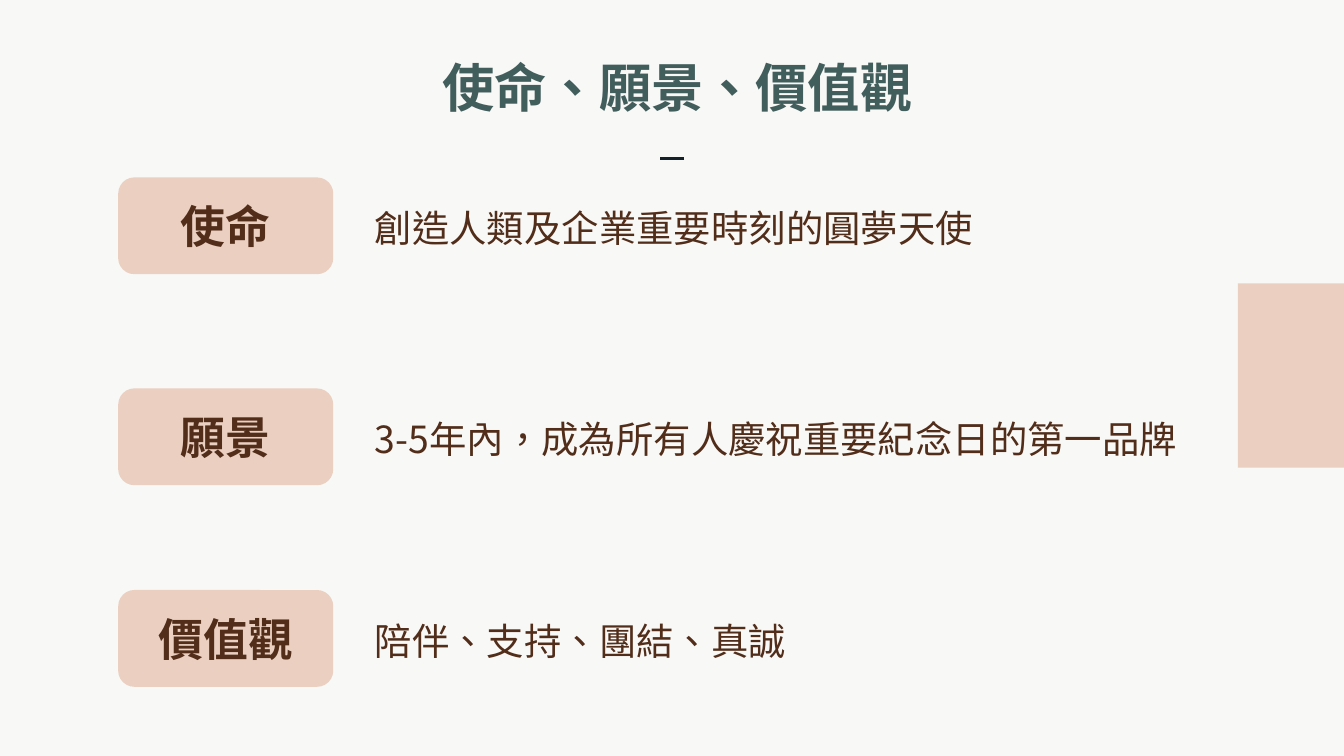
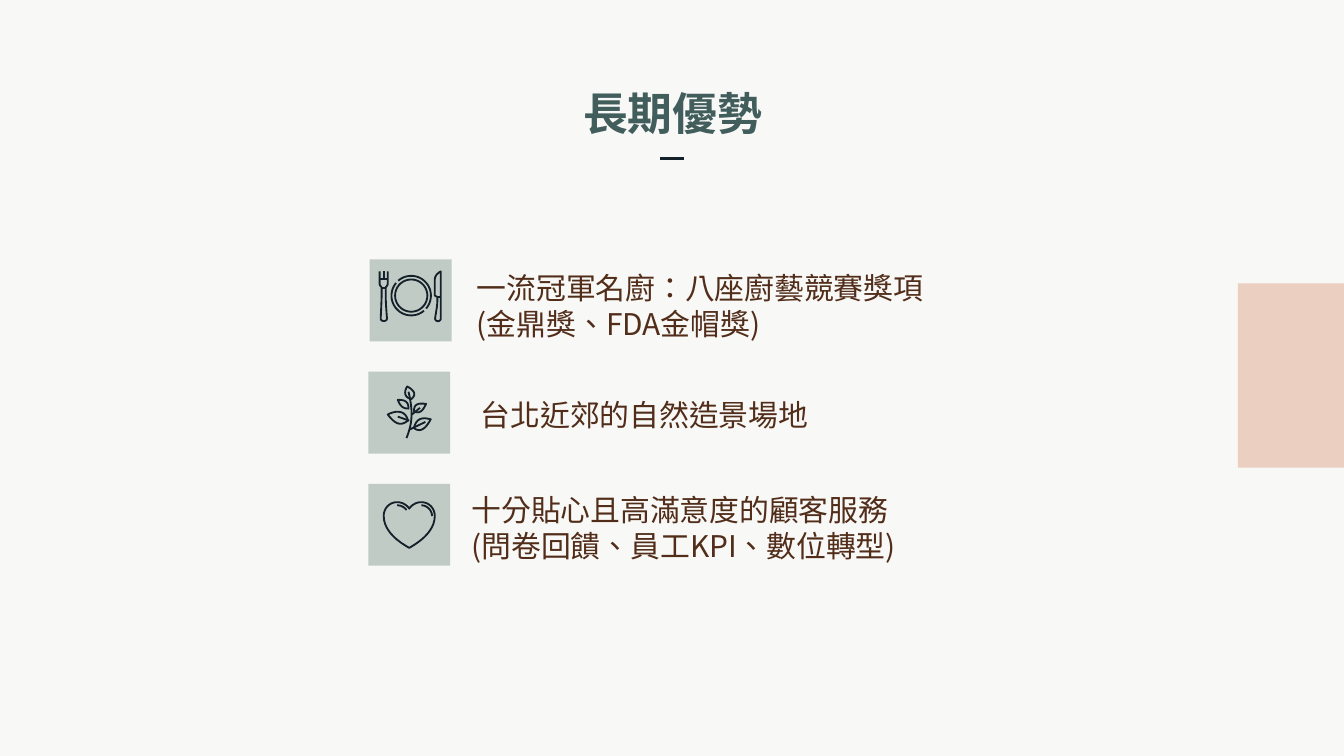
"""Build two slides: mission, vision and values, then long-term strengths."""
from math import cos, radians, sin

from lxml import etree
from pptx import Presentation
from pptx.dml.color import RGBColor
from pptx.enum.shapes import MSO_CONNECTOR, MSO_SHAPE
from pptx.enum.text import MSO_ANCHOR, PP_ALIGN
from pptx.oxml.ns import qn
from pptx.util import Inches, Pt

RECTANGLE = MSO_SHAPE.RECTANGLE
ROUNDED = MSO_SHAPE.ROUNDED_RECTANGLE
STRAIGHT = MSO_CONNECTOR.STRAIGHT
TOP, MIDDLE = MSO_ANCHOR.TOP, MSO_ANCHOR.MIDDLE
LEFT, CENTER = PP_ALIGN.LEFT, PP_ALIGN.CENTER

COLORS = {"paper": "F8F8F6", "blush": "EBD0C2", "ink": "15212A",
          "title": "415D5C", "text": "512D1A", "sage": "C1CBC6"}
SANS_SC, SANS_TC = "Noto Sans CJK SC", "Noto Sans CJK TC"
LANGUAGE = "zh-TW"

STATEMENTS = [
    (1.32, "使命", "創造人類及企業重要時刻的圓夢天使", 4.69),
    (2.89, "願景", "3-5年內，成為所有人慶祝重要紀念日的第一品牌", 6.22),
    (4.39, "價值觀", "陪伴、支持、團結、真誠", 5),
]


def arc(center_x, center_y, radius, start, end, steps=36):
    """Return an outline of short lines along a circle, angles in degrees."""
    angles = [radians(start + (end - start) * step / steps) for step in range(steps + 1)]
    points = [(center_x + radius * cos(angle), center_y + radius * sin(angle))
              for angle in angles]
    return [points[0]] + [(point,) for point in points[1:]]


PLATE = [
    [(7.5, 9), ((7.5, 18),), ((7.5, 20), (9, 20), (9, 21.5)), ((9, 26),),
     ((9, 30), (8.5, 39), (8.3, 44)), ((8.3, 46.5), (13, 46.5), (13, 44)),
     ((12.5, 39), (12, 30), (12, 26)), ((12, 21.5),),
     ((12, 20), (13.5, 20), (13.5, 18)), ((13.5, 9),)],
    [(10.5, 9), ((10.5, 14.5),)],
    [(7.5, 14.5), ((13.5, 14.5),)],
    [(9, 21.5), ((12, 21.5),)],
    arc(31, 27, 14.7, 220, 50),
    arc(31, 27, 14.7, 229, 401),
    arc(31, 27, 12, 0, 360),
    [(53, 9), ((49.5, 11), (48.5, 13), (48.5, 16)), ((48.5, 27),), ((50.5, 28),),
     ((50.5, 31),), ((50.3, 36), (49.3, 40), (48.8, 44)),
     ((48.8, 46.7), (53, 46.7), (53, 44)), ((53, 9),)],
    [(50.5, 28), ((53, 28),)],
]
BRANCH = [
    [(28.5, 49.5), ((33, 38), (33.5, 30), (30, 15))],
    [(32, 20.5), ((26, 19), (27, 14), (29, 11)), ((36, 15), (35, 18), (32, 20.5))],
    [(22, 21), ((27, 21), (30, 22), (30, 27.5)), ((26, 27.5), (24, 26), (22, 21))],
    [(14.5, 32), ((21, 28.5), (28, 29), (29.5, 36.5)), ((24, 41), (20, 39), (14.5, 32))],
    [(34, 29.5), ((34, 23.5), (38, 23.5), (43, 24)), ((40, 31), (37, 31), (34, 29.5))],
    [(34, 42), ((36, 34), (41, 34), (46.5, 35.5)), ((42, 44), (38, 45), (34, 42))],
    [(22, 33.5), ((30.5, 36.5),)],
    [(32.5, 32), ((38.5, 27),)],
    [(31, 43), ((42.5, 37.5),)],
]
HEART = [
    [(30.5, 18.5), ((28.5, 15.5), (25, 13.7), (21.5, 13.7)),
     ((16, 13.7), (11.5, 18), (11.5, 24)), ((11.5, 36), (24, 44), (30.5, 47.7)),
     ((37, 44), (49.5, 36), (49.5, 24)), ((49.5, 18), (45, 13.7), (39.5, 13.7)),
     ((36, 13.7), (32.5, 15.5), (30.5, 18.5))],
    [(39.5, 16), ((44, 16), (47.5, 20), (47.5, 24))],
    [(21.5, 16), ((24.5, 16), (27, 17.5), (28.5, 19.5))],
]

STRENGTHS = [
    (2.75, PLATE, (3.28, 1.91, 4.67, 0.39), 0.17,
     [["一流冠軍名廚：八座廚藝競賽獎項"], ["(金鼎獎、FDA金帽獎)"]]),
    (2.74, BRANCH, (3.48, 2.85, 3.22, 0.49), 0, [["台北近郊的自然造景場地"]]),
    (2.74, HEART, (2.91, 3.56, 4.35, 0.81), 0.5,
     [["十分貼心且高滿意度的顧客服務", "(問卷回饋、員工KPI、數位轉型)"]]),
]


def color(name):
    """Return a named palette colour."""
    return RGBColor.from_string(COLORS[name])


def write(shape, paragraphs, size, font, tint="text", bold=False, align=LEFT,
          anchor=TOP, inset=None, indent=0):
    """Fill a shape with paragraphs, each a list of lines."""
    frame = shape.text_frame
    frame.word_wrap = True
    frame.vertical_anchor = anchor
    if inset is not None:
        frame.margin_left = frame.margin_right = Inches(inset)
        frame.margin_top = frame.margin_bottom = Inches(inset)
    for index, lines in enumerate(paragraphs):
        paragraph = frame.add_paragraph() if index else frame.paragraphs[0]
        paragraph.alignment = align
        if indent:
            paragraph._p.get_or_add_pPr().set("marL", str(Inches(indent)))
        for number, line in enumerate(lines):
            if number:
                paragraph.add_line_break()
            run = paragraph.add_run()
            run.text = line
            run.font.size = Pt(size)
            run.font.bold = bold
            run.font.name = font
            run.font.color.rgb = color(tint)
            properties = run._r.get_or_add_rPr()
            properties.set("lang", LANGUAGE)
            etree.SubElement(properties, qn("a:ea"), typeface=font)


def add_text(slide, box, paragraphs, size, font, **style):
    """Add a text box."""
    shape = slide.shapes.add_textbox(*map(Inches, box))
    write(shape, paragraphs, size, font, **style)


def add_block(slide, kind, box, tint):
    """Add a filled shape without outline."""
    shape = slide.shapes.add_shape(kind, *map(Inches, box))
    shape.shadow.inherit = False
    shape.fill.solid()
    shape.fill.fore_color.rgb = color(tint)
    shape.line.fill.background()
    return shape


def add_line(slide, start, end, width):
    """Add a straight ink line between two points."""
    line = slide.shapes.add_connector(STRAIGHT, *map(Inches, (*start, *end)))
    line.line.color.rgb = color("ink")
    line.line.width = Pt(width)
    etree.SubElement(line._element.spPr, qn("a:effectLst"))


def curve_points(start, first, second, end, steps=12):
    """Return points along a cubic curve, without its start."""
    points = []
    for step in range(1, steps + 1):
        t = step / steps
        weights = ((1 - t) ** 3, 3 * t * (1 - t) ** 2, 3 * t * t * (1 - t), t ** 3)
        points.append(tuple(sum(weight * value for weight, value in zip(weights, axis))
                            for axis in zip(start, first, second, end)))
    return points


def add_icon(slide, left, top, outlines):
    """Draw outlines given in hundredths of an inch from the corner of a tile."""
    for outline in outlines:
        points = [outline[0]]
        for segment in outline[1:]:
            points += curve_points(points[-1], *segment) if len(segment) == 3 else segment
        points = [(left + x / 100, top + y / 100) for x, y in points]
        if len(points) == 2:
            add_line(slide, *points, 1)
            continue
        corners = [(Inches(x), Inches(y)) for x, y in points]
        builder = slide.shapes.build_freeform(*corners[0])
        builder.add_line_segments(corners[1:], close=corners[0] == corners[-1])
        shape = builder.convert_to_shape()
        shape.shadow.inherit = False
        shape.fill.background()
        shape.line.color.rgb = color("ink")
        shape.line.width = Pt(1)


def add_base(presentation, title, box, size, font):
    """Add a slide with the shared background, side band, dash and title."""
    slide = presentation.slides.add_slide(presentation.slide_layouts[6])
    slide.background.fill.solid()
    slide.background.fill.fore_color.rgb = color("paper")
    add_block(slide, RECTANGLE, (9.21, 2.11, 0.79, 1.37), "blush")
    add_line(slide, (5.09, 1.18), (4.91, 1.18), 1.5)
    add_text(slide, box, [[title]], size, font, tint="title", bold=True,
             align=CENTER, inset=0.1)
    return slide


def add_statement(slide, left, top, label, text, width):
    """Add a rounded label with its statement to the right."""
    block = add_block(slide, ROUNDED, (left, top, 1.6, 0.72), "blush")
    write(block, [[label]], 24, SANS_SC, bold=True, align=CENTER, anchor=MIDDLE)
    add_text(slide, (left + 1.81, top + 0.16, width, 0.44), [[text]], 20, SANS_SC)


def add_strength(slide, top, left, icon, box, indent, paragraphs):
    """Add an icon tile with its description."""
    add_block(slide, RECTANGLE, (left, top, 0.61, 0.61), "sage")
    add_icon(slide, left, top, icon)
    add_text(slide, box, paragraphs, 16, SANS_TC, inset=0.1, indent=indent)


def build_mission(presentation):
    """Build the mission, vision and values slide."""
    slide = add_base(presentation, "使命、願景、價值觀", (2.92, 0.31, 4.24, 0.63), 28, SANS_SC)
    for statement in STATEMENTS:
        add_statement(slide, 0.88, *statement)


def build_strengths(presentation):
    """Build the long-term strengths slide."""
    slide = add_base(presentation, "長期優勢", (3.99, 0.54, 2.03, 0.63), 24, SANS_TC)
    pitch = (3.6 - 1.93) / 2
    for row, strength in enumerate(STRENGTHS):
        add_strength(slide, 1.93 + row * pitch, *strength)


def main():
    """Build and save the presentation."""
    presentation = Presentation()
    presentation.slide_width = Inches(10)
    presentation.slide_height = Inches(10 * 9 / 16)
    build_mission(presentation)
    build_strengths(presentation)
    presentation.save("out.pptx")


if __name__ == "__main__":
    main()
